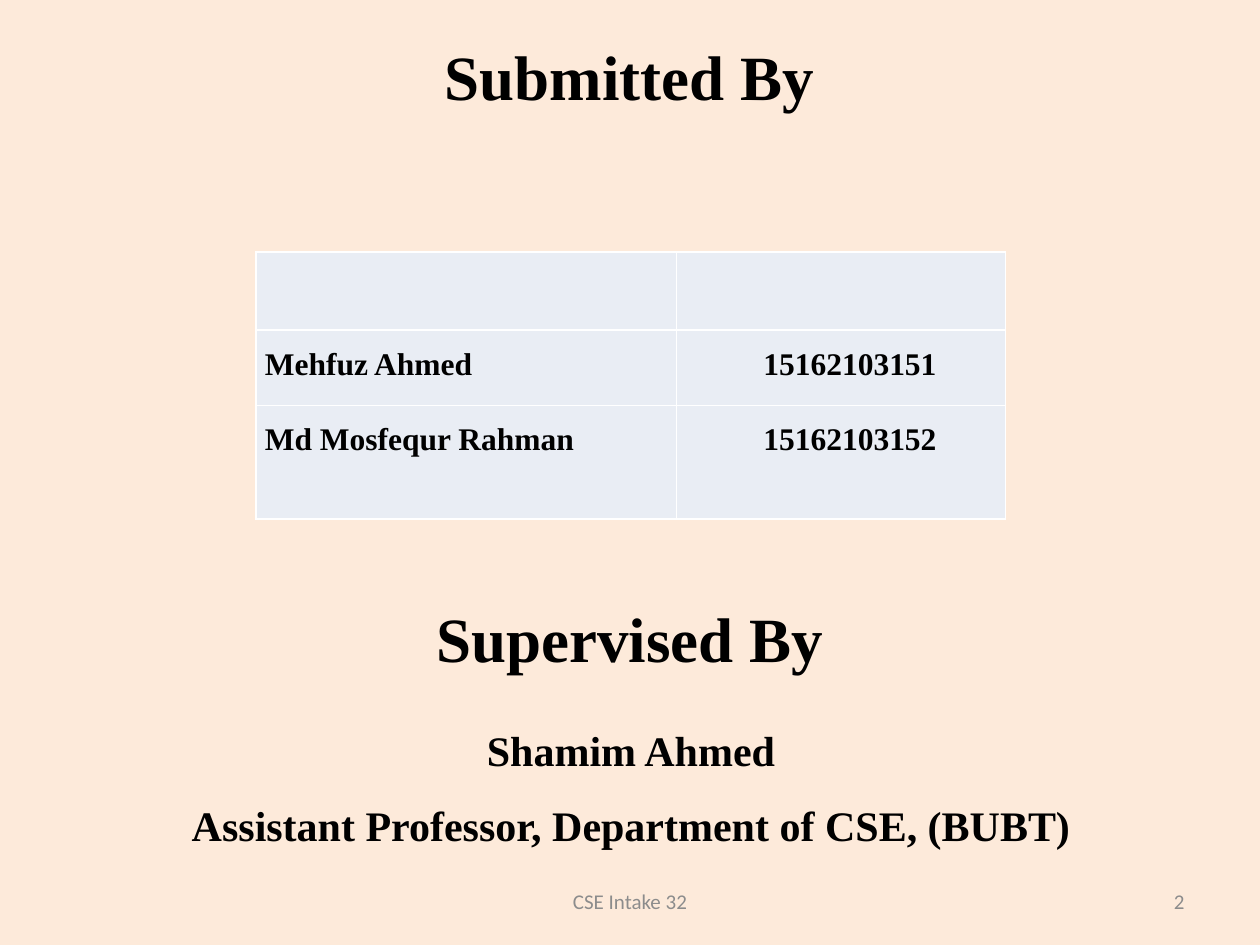
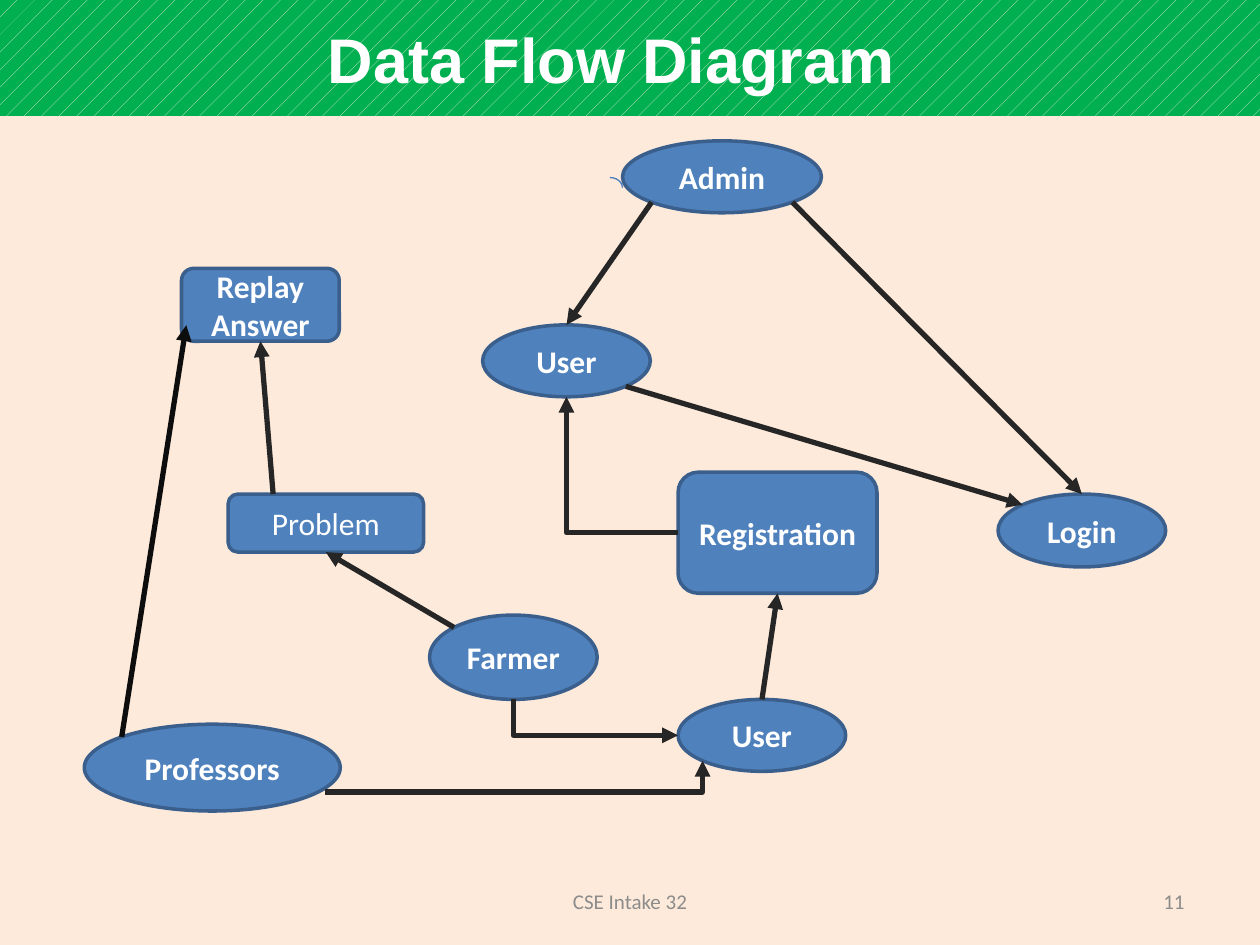
from pptx import Presentation
from pptx.dml.color import RGBColor
from pptx.enum.dml import MSO_PATTERN
from pptx.enum.shapes import MSO_CONNECTOR, MSO_SHAPE
from pptx.enum.text import MSO_ANCHOR, PP_ALIGN
from pptx.oxml.ns import qn
from pptx.util import Cm, Pt
from lxml import etree

LEFT, CENTER, RIGHT = PP_ALIGN.LEFT, PP_ALIGN.CENTER, PP_ALIGN.RIGHT
TOP, MIDDLE = MSO_ANCHOR.TOP, MSO_ANCHOR.MIDDLE
RECT, ROUNDED = MSO_SHAPE.RECTANGLE, MSO_SHAPE.ROUNDED_RECTANGLE
OVAL, ARC = MSO_SHAPE.FLOWCHART_CONNECTOR, MSO_SHAPE.ARC
STRAIGHT, ELBOW = MSO_CONNECTOR.STRAIGHT, MSO_CONNECTOR.ELBOW
PERCENT_5 = MSO_PATTERN.PERCENT_5

SERIF, SANS, HEADING = "Times New Roman", "Calibri", "Arial"
CREAM, GREEN, IVORY = "FDEADA", "00B050", "EEECE1"
BLUE, NAVY, ARC_BLUE = "4F81BD", "3A5F8C", "4B7EBC"
BLACK, WHITE, GREY, CELL = "000000", "FFFFFF", "8C8C8C", "E9EDF4"
INK, DARK_INK = "262626", "0D0D0D"

# Connection points as fractions of a shape's width and height
N, S, W = (0.5, 0), (0.5, 1), (0, 0.5)
NW, SW, SE = (0.146, 0.146), (0.146, 0.854), (0.854, 0.854)


def rgb(color):
    return RGBColor.from_string(color)


def site(shape, spot):
    """Point on a shape at the given fractions of its size."""
    return (round(shape.left + spot[0] * shape.width),
            round(shape.top + spot[1] * shape.height))


class Deck:
    """Holds the shared style and the current slide."""

    def __init__(self):
        self.prs = Presentation()
        self.prs.slide_width, self.prs.slide_height = Cm(25.4), Cm(19.05)
        self.s = None

    def slide(self, number):
        self.s = self.prs.slides.add_slide(self.prs.slide_layouts[6])
        fill = self.s.background.fill
        fill.solid()
        fill.fore_color.rgb = rgb(CREAM)
        footer = dict(size=12, font=SANS, color=GREY, bold=False, anchor=MIDDLE)
        self.text((8.68, 17.65, 8.04, 1.02), "CSE Intake 32", **footer)
        self.text((18.2, 17.65, 5.93, 1.02), str(number), align=RIGHT, **footer)

    def set_text(self, tf, text, size, font=SERIF, color=BLACK, bold=True,
                 align=CENTER, anchor=TOP, spacing=None):
        tf.text = text
        tf.word_wrap = True
        tf.vertical_anchor = anchor
        for p in tf.paragraphs:
            p.alignment = align
            p.line_spacing = spacing
            for r in p.runs:
                r.font.name, r.font.size, r.font.bold = font, Pt(size), bold
                r.font.color.rgb = rgb(color)

    def text(self, box, text, size, **style):
        sp = self.s.shapes.add_textbox(*map(Cm, box))
        self.set_text(sp.text_frame, text, size, **style)

    def shape(self, kind, box, fill=None, line=None, width=2):
        sp = self.s.shapes.add_shape(kind, *map(Cm, box))
        sp.shadow.inherit = False
        if fill:
            sp.fill.solid()
            sp.fill.fore_color.rgb = rgb(fill)
        else:
            sp.fill.background()
        if line:
            sp.line.color.rgb = rgb(line)
            sp.line.width = Pt(width)
        else:
            sp.line.fill.background()
        return sp

    def band(self, title):
        sp = self.shape(RECT, (0, 0, 25.4, 2.34))
        sp.fill.patterned()
        sp.fill.pattern = PERCENT_5
        sp.fill.fore_color.rgb = rgb(IVORY)
        sp.fill.back_color.rgb = rgb(GREEN)
        self.set_text(sp.text_frame, title, 36, HEADING, WHITE, anchor=MIDDLE)
        sp.text_frame.margin_right = Cm(1)

    def node(self, kind, box, text, bold=True):
        sp = self.shape(kind, box, BLUE, NAVY)
        self.set_text(sp.text_frame, text, 18, SANS, WHITE, bold, anchor=MIDDLE)
        return sp

    def arrow(self, start, end, kind=STRAIGHT, color=INK, tip="a:tailEnd"):
        """Arrow between two points; an elbow leaves its start sideways."""
        c = self.s.shapes.add_connector(kind, *start, *end)
        c.line.color.rgb = rgb(color)
        c.line.width = Pt(3)
        props = c._element.spPr
        if kind == ELBOW:
            props.find(qn("a:prstGeom")).set("prst", "bentConnector2")
        etree.SubElement(props.find(qn("a:ln")), qn(tip), type="triangle")
        etree.SubElement(props, qn("a:effectLst"))

    def border(self, cell):
        """White lines on all sides, placed before the cell's fill."""
        props = cell._tc.get_or_add_tcPr()
        for i, side in enumerate(("a:lnL", "a:lnR", "a:lnT", "a:lnB")):
            ln = etree.Element(qn(side), w=str(Pt(1)))
            fill = etree.SubElement(ln, qn("a:solidFill"))
            etree.SubElement(fill, qn("a:srgbClr"), val=WHITE)
            props.insert(i, ln)

    def table(self, left, top, widths, heights, rows):
        frame = self.s.shapes.add_table(
            len(rows), len(widths), Cm(left), Cm(top),
            Cm(sum(widths)), Cm(sum(heights)))
        table = frame.table
        table.first_row = table.horz_banding = False
        for column, width in zip(table.columns, widths):
            column.width = Cm(width)
        for i, (height, row) in enumerate(zip(heights, rows)):
            table.rows[i].height = Cm(height)
            for j, text in enumerate(row):
                cell = table.cell(i, j)
                cell.fill.solid()
                cell.fill.fore_color.rgb = rgb(CELL)
                self.border(cell)
                cell.margin_left = Cm(0.54 if j else 0.18)
                cell.margin_right = Cm(0.18)
                cell.margin_top = cell.margin_bottom = 0
                self.set_text(cell.text_frame, text, 18, spacing=1.5,
                              align=CENTER if j else LEFT)


def people(d):
    d.slide(2)
    d.text((2.84, 0.64, 19.69, 1.91), "Submitted By", 36)
    d.table(5.16, 5.08, (8.48, 6.63), (1.57, 1.52, 2.29), [
        ("", ""),
        ("Mehfuz Ahmed", "15162103151"),
        ("Md Mosfequr Rahman", "15162103152"),
    ])
    d.text((0, 11.96, 25.4, 1.8), "Supervised By", 36)
    d.text((0.97, 13.97, 23.5, 3.33),
           "Shamim Ahmed\nAssistant Professor, Department of CSE, (BUBT)",
           24, spacing=1.5)


def data_flow(d):
    d.slide(11)
    d.band("Data Flow Diagram")
    admin = d.node(OVAL, (12.55, 2.84, 4.01, 1.45), "Admin")
    user = d.node(OVAL, (9.73, 6.55, 3.38, 1.45), "User")
    farmer = d.node(OVAL, (8.66, 12.4, 3.38, 1.7), "Farmer")
    professors = d.node(OVAL, (1.7, 14.6, 5.16, 1.75), "Professors")
    new_user = d.node(OVAL, (13.67, 14.1, 3.38, 1.45), "User")
    login = d.node(OVAL, (20.12, 9.96, 3.38, 1.47), "Login")
    registration = d.node(ROUNDED, (13.67, 9.52, 4.01, 2.44), "Registration")
    answer = d.node(ROUNDED, (3.66, 5.41, 3.18, 1.47), "Replay Answer")
    problem = d.node(ROUNDED, (4.6, 9.96, 3.94, 1.17), "Problem", bold=False)
    d.shape(ARC, (12.04, 3.58, 0.51, 0.41), line=ARC_BLUE, width=0.75)

    for start, leave, end, arrive in (
        (admin, SW, user, N),
        (user, SE, login, NW),
        (admin, SE, login, N),
        (new_user, N, registration, S),
        (farmer, NW, problem, S),
        (problem, (0.23, 0), answer, S),
    ):
        d.arrow(site(start, leave), site(end, arrive))
    d.arrow(site(professors, NW), site(answer, (0.03, 0.78)), color=DARK_INK)
    d.arrow(site(registration, W), site(user, S), ELBOW)
    d.arrow(site(professors, (0.94, 0.78)), site(new_user, SW), ELBOW)
    d.arrow(site(new_user, W), site(farmer, S), ELBOW, tip="a:headEnd")


def main():
    d = Deck()
    people(d)
    data_flow(d)
    d.prs.save("out.pptx")


if __name__ == "__main__":
    main()
